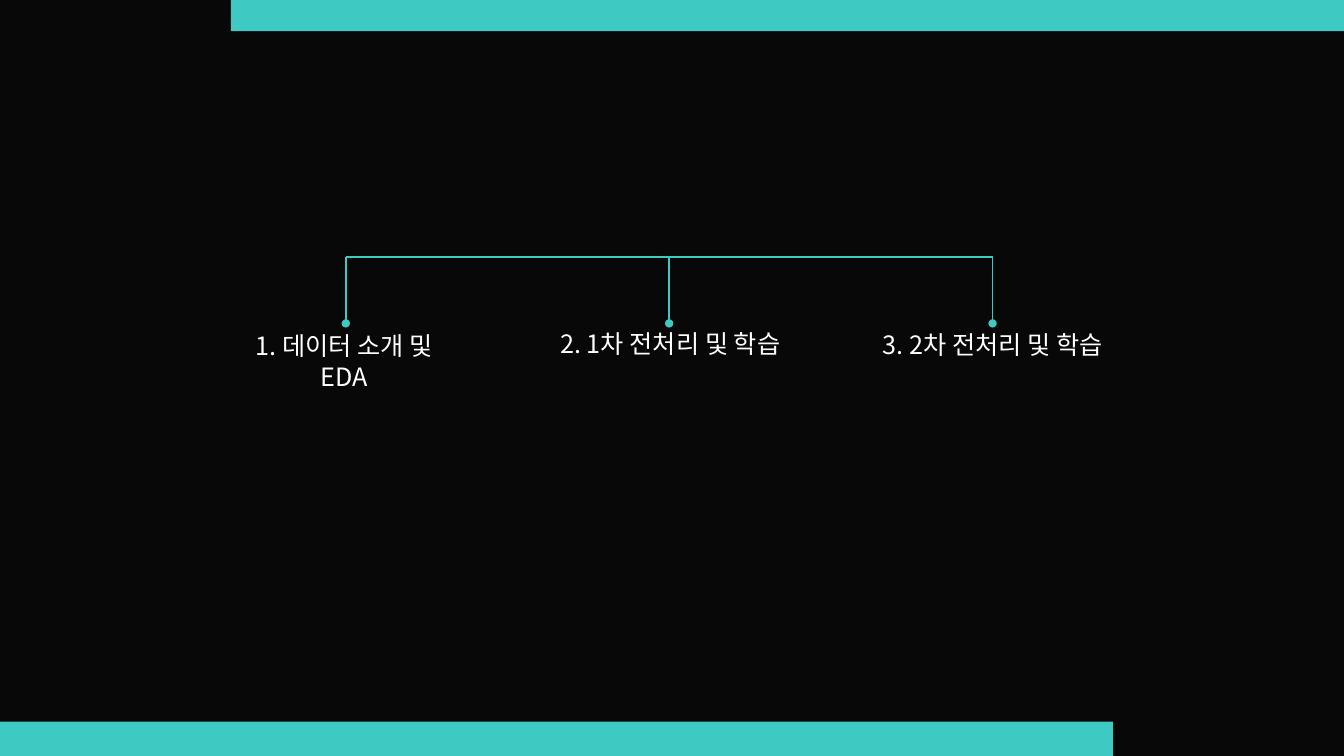
from lxml.etree import SubElement
from pptx import Presentation
from pptx.dml.color import RGBColor
from pptx.enum.shapes import MSO_CONNECTOR as Line, MSO_SHAPE as Shape
from pptx.enum.text import MSO_AUTO_SIZE as Fit, PP_ALIGN as Align
from pptx.oxml.ns import qn
from pptx.util import Pt

WIDE, HIGH = 960, 540
TEAL, DARK, WHITE = "3ECAC3", "080808", "FFFFFF"
FACE = "Noto Sans CJK KR"
FONT = {"name": FACE, "size": Pt(18)}

# text, left, top, width, height
TOPICS = [
    ("1. 데이터 소개 및 EDA", 172.8, 232.6, 146.2, 51),
    ("2. 1차 전처리 및 학습", 392.4, 231.1, 172.8, 51),
    ("3. 2차 전처리 및 학습", 608.4, 231.8, 201.6, 29),
]
BAR_W, BAR_H, BLEED = 795, 24.5, 2.2
BARS = [(WIDE - BAR_W, -BLEED), (0, HIGH - BAR_H)]
FIRST, STEP = 247, 231
RAIL, TIP = 183.6, 231


def paint(color, hue):
    color.rgb = RGBColor.from_string(hue)


def add_bar(slide, x, y):
    bar = slide.shapes.add_shape(Shape.RECTANGLE, Pt(x), Pt(y), Pt(BAR_W), Pt(BAR_H))
    bar.shadow.inherit = False
    bar.fill.solid()
    paint(bar.fill.fore_color, TEAL)
    bar.line.fill.background()


def add_line(slide, ends, width, dot=False):
    """Draw a teal line, with a round dot at its far end if asked."""
    line = slide.shapes.add_connector(Line.STRAIGHT, *map(Pt, ends))
    line.line.width = Pt(width)
    paint(line.line.color, TEAL)
    props = line._element.spPr
    if dot:
        SubElement(props.find(qn("a:ln")), qn("a:tailEnd"), type="oval")
    SubElement(props, qn("a:effectLst"))


def add_topic(slide, text, *place):
    frame = slide.shapes.add_textbox(*map(Pt, place)).text_frame
    frame.word_wrap = True
    frame.auto_size = Fit.SHAPE_TO_FIT_TEXT
    para = frame.paragraphs[0]
    para.alignment = Align.CENTER
    run = para.add_run()
    run.text = text
    for key, value in FONT.items():
        setattr(run.font, key, value)
    paint(run.font.color, WHITE)
    SubElement(run.font._element, qn("a:ea"), typeface=FACE)


def main():
    deck = Presentation()
    deck.slide_width, deck.slide_height = Pt(WIDE), Pt(HIGH)
    slide = deck.slides.add_slide(deck.slide_layouts[6])
    back = slide.background.fill
    back.solid()
    paint(back.fore_color, DARK)

    for x, y in BARS:
        add_bar(slide, x, y)
    stems = [FIRST + i * STEP for i in range(len(TOPICS))]
    add_line(slide, (stems[0], RAIL, stems[-1], RAIL), 2)
    for x in stems:
        add_line(slide, (x, RAIL, x, TIP), 1.25, dot=True)
    for topic in TOPICS:
        add_topic(slide, *topic)
    deck.save("out.pptx")


if __name__ == "__main__":
    main()
